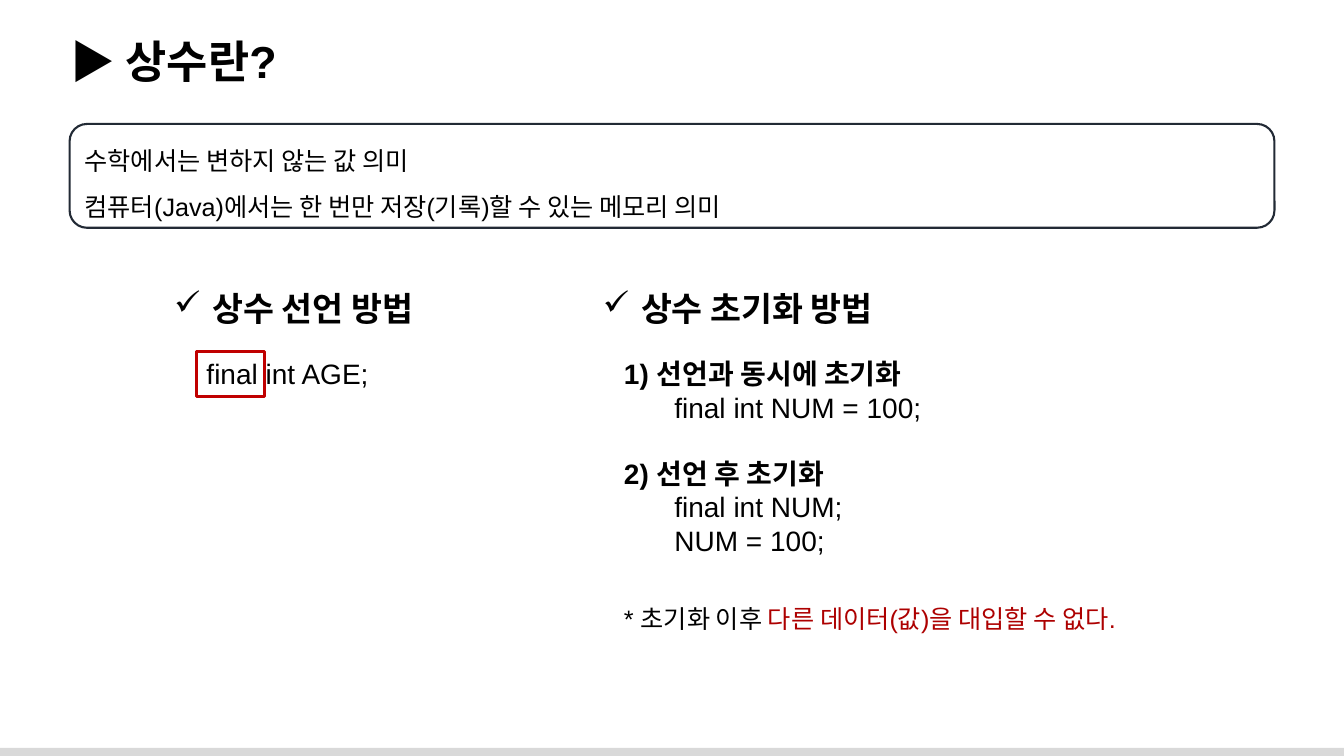
from pptx import Presentation
from pptx.util import Inches, Pt
from pptx.dml.color import RGBColor
from pptx.enum.shapes import MSO_SHAPE
from pptx.enum.text import MSO_ANCHOR, MSO_AUTO_SIZE, PP_ALIGN
from lxml import etree

COLORS = {"text": "000000", "warning": "AD0000", "keyword": "C00000",
          "frame": "222A35", "footer": "D9D9D9"}


def add_run(p, text, size, bold=False, color="text"):
    r = p.add_run()
    r.text = text
    r.font.name = "Arial"
    r.font.size = Pt(size)
    r.font.bold = bold
    r.font.color.rgb = RGBColor.from_string(COLORS[color])


def add_text(s, left, top, width, height, wrap=False):
    tf = s.shapes.add_textbox(Inches(left), Inches(top), Inches(width), Inches(height)).text_frame
    tf.word_wrap = wrap
    tf.auto_size = MSO_AUTO_SIZE.SHAPE_TO_FIT_TEXT
    return tf


prs = Presentation()
prs.slide_width, prs.slide_height = Inches(13.33), Inches(7.5)
s = prs.slides.add_slide(prs.slide_layouts[5])

footer = s.shapes.add_shape(MSO_SHAPE.RECTANGLE, Inches(-0.03), Inches(7.42), Inches(13.39), Inches(0.11))
footer.shadow.inherit = False
footer.fill.solid()
footer.fill.fore_color.rgb = RGBColor.from_string(COLORS["footer"])
footer.line.fill.background()

title = s.shapes.title
title.left, title.top, title.width, title.height = Inches(0.6), Inches(0.28), Inches(12.6), Inches(0.64)
tf = title.text_frame
tf.auto_size = MSO_AUTO_SIZE.NONE
tf.vertical_anchor = MSO_ANCHOR.TOP
p = tf.paragraphs[0]
p.alignment = PP_ALIGN.LEFT
add_run(p, "▶ 상수란?", 32, True)

for left, width, heading in [(1.63, 2.84, "상수 선언 방법"), (5.88, 3.18, "상수 초기화 방법")]:
    p = add_text(s, left, 2.81, width, 0.5).paragraphs[0]
    pPr = p._p.get_or_add_pPr()
    pPr.set("marL", str(Inches(0.38)))
    pPr.set("indent", str(-Inches(0.38)))
    bullet = etree.SubElement(pPr, "{http://schemas.openxmlformats.org/drawingml/2006/main}buChar")
    bullet.set("char", "✓")
    add_run(p, heading, 24, True)

p = add_text(s, 1.95, 3.49, 1.84, 0.44).paragraphs[0]
add_run(p, "final int AGE;", 20)

tf = add_text(s, 6.09, 3.49, 3.86, 2.12)
steps = [("1) 선언과 동시에 초기화", True, 0), ("\tfinal int NUM = 100;", False, 0),
         ("2) 선언 후 초기화", True, 23), ("\tfinal int NUM;", False, 0),
         ("\tNUM = 100;", False, 0)]
for i, (text, bold, gap) in enumerate(steps):
    p = tf.add_paragraph() if i else tf.paragraphs[0]
    p.space_before = Pt(gap)
    add_run(p, text, 20, bold)

p = add_text(s, 6.09, 5.79, 5.66, 0.56, wrap=True).paragraphs[0]
p.line_spacing = 1.5
add_run(p, "* 초기화 이후 ", 18)
add_run(p, "다른 데이터(값)을 대입할 수 없다.", 18, color="warning")

outlines = [(MSO_SHAPE.RECTANGLE, 1.95, 3.49, 0.67, 0.44, "keyword", 2.25, []),
            (MSO_SHAPE.ROUNDED_RECTANGLE, 0.69, 1.23, 11.95, 1.03, "frame", 1.5,
             ["수학에서는 변하지 않는 값 의미",
              "컴퓨터(Java)에서는 한 번만 저장(기록)할 수 있는 메모리 의미"])]
for kind, left, top, width, height, color, weight, lines in outlines:
    sp = s.shapes.add_shape(kind, Inches(left), Inches(top), Inches(width), Inches(height))
    sp.shadow.inherit = False
    sp.fill.background()
    sp.line.color.rgb = RGBColor.from_string(COLORS[color])
    sp.line.width = Pt(weight)
    tf = sp.text_frame
    tf.word_wrap = True
    tf.vertical_anchor = MSO_ANCHOR.MIDDLE
    for i, text in enumerate(lines):
        p = tf.add_paragraph() if i else tf.paragraphs[0]
        p.alignment = PP_ALIGN.LEFT
        p.line_spacing = 1.5
        add_run(p, text, 18)

prs.save("out.pptx")
